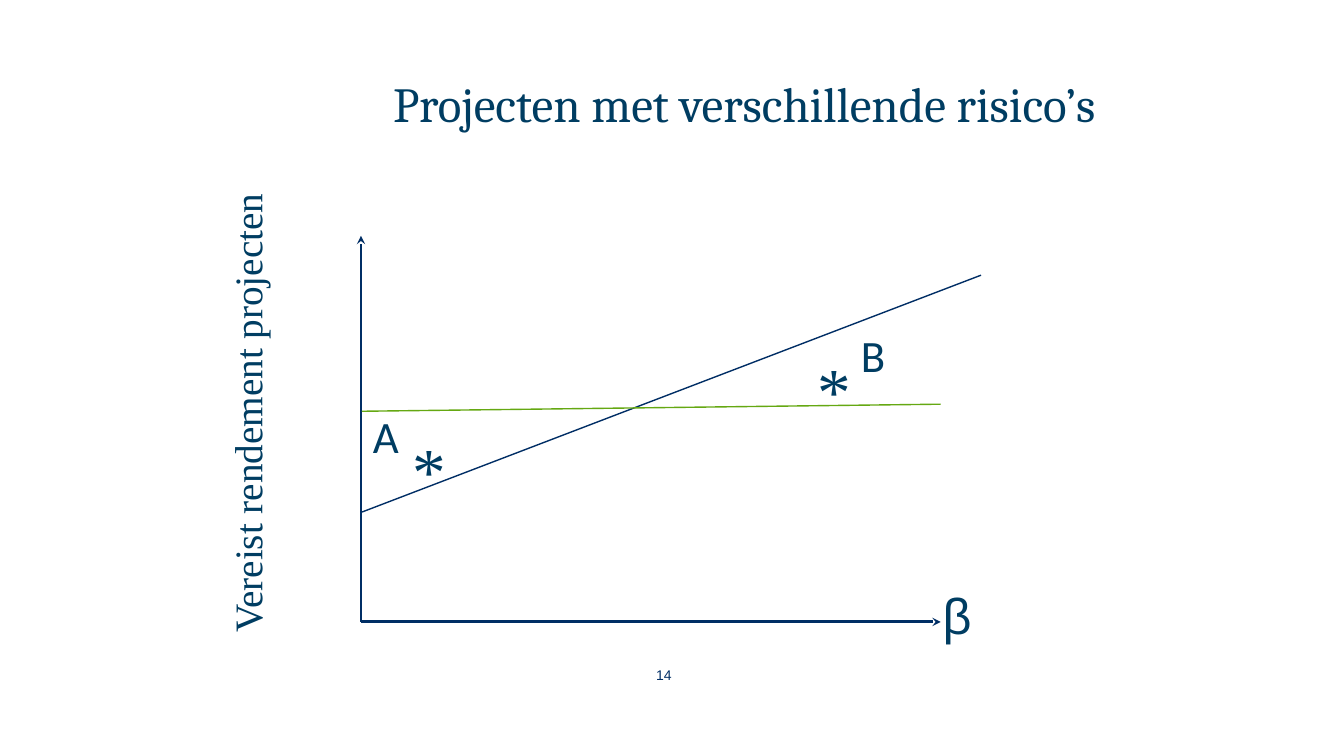
from lxml import etree
from pptx import Presentation
from pptx.dml.color import RGBColor
from pptx.enum.shapes import MSO_CONNECTOR
from pptx.enum.text import MSO_ANCHOR, PP_ALIGN
from pptx.oxml.ns import qn
from pptx.util import Inches, Pt

STRAIGHT = MSO_CONNECTOR.STRAIGHT
MIDDLE = MSO_ANCHOR.MIDDLE
LEFT, RIGHT = PP_ALIGN.LEFT, PP_ALIGN.RIGHT
NAVY = RGBColor(0x00, 0x2E, 0x65)
PETROL = RGBColor(0x00, 0x3D, 0x62)
GREEN = RGBColor(0x65, 0xA8, 0x12)

prs = Presentation()
prs.slide_width, prs.slide_height = Inches(13.33), Inches(7.5)
slide = prs.slides.add_slide(prs.slide_layouts[5])


def style_text(box, text, font_name, size, color, align=LEFT):
    box.text_frame.text = text
    paragraph = box.text_frame.paragraphs[0]
    paragraph.alignment = align
    font = paragraph.runs[0].font
    font.name, font.size = font_name, Pt(size)
    font.color.rgb = color


def add_line(start, end, color, width, arrow=False):
    line = slide.shapes.add_connector(
        STRAIGHT, *(Inches(value) for value in start + end))
    line.line.color.rgb = color
    line.line.width = Pt(width)
    if arrow:
        etree.SubElement(line.line._get_or_add_ln(), qn("a:tailEnd"), type="stealth")
    etree.SubElement(line._element.spPr, qn("a:effectLst"))


title = slide.shapes.title
title.left, title.top = Inches(2.36), Inches(0.68)
title.width, title.height = Inches(8.61), Inches(0.69)
title.text_frame.vertical_anchor = MIDDLE
style_text(title, "Projecten met verschillende risico’s", "Cambria", 35, PETROL, RIGHT)

# Axes, followed by the rising and the nearly flat return lines
add_line((3.58, 6.17), (9.33, 6.17), NAVY, 2, arrow=True)
add_line((3.58, 6.17), (3.58, 2.34), NAVY, 2, arrow=True)
add_line((3.59, 5.08), (9.73, 2.73), NAVY, 1)
add_line((9.33, 4.01), (3.59, 4.08), GREEN, 1)

# text, left, top, width, height, font, size, rotation
labels = [
    ("β", 9.25, 5.75, 0.48, 0.7, "Arial", 36, 0),
    ("Vereist rendement projecten", -0.6, 3.04, 6.1, 0.57, "Times New Roman", 28, 270),
    ("*", 3.99, 4.2, 0.56, 0.9, "Times New Roman", 48, 0),
    ("*", 8.01, 3.41, 0.56, 0.9, "Times New Roman", 48, 0),
    ("A", 3.6, 4.01, 0.97, 0.63, "Calibri", 32, 0),
    ("B", 8.44, 3.2, 0.97, 0.63, "Calibri", 32, 0),
]
for text, left, top, width, height, font_name, size, rotation in labels:
    label = slide.shapes.add_textbox(
        Inches(left), Inches(top), Inches(width), Inches(height))
    label.rotation = rotation
    label.text_frame.word_wrap = True
    style_text(label, text, font_name, size, PETROL)

page_number = slide.shapes.add_textbox(
    Inches(5.64), Inches(6.61), Inches(1.02), Inches(0.31))
frame = page_number.text_frame
frame.word_wrap = True
frame.margin_left = frame.margin_right = frame.margin_top = frame.margin_bottom = 0
style_text(page_number, "14", "Arial", 10, NAVY, RIGHT)

prs.save("out.pptx")
